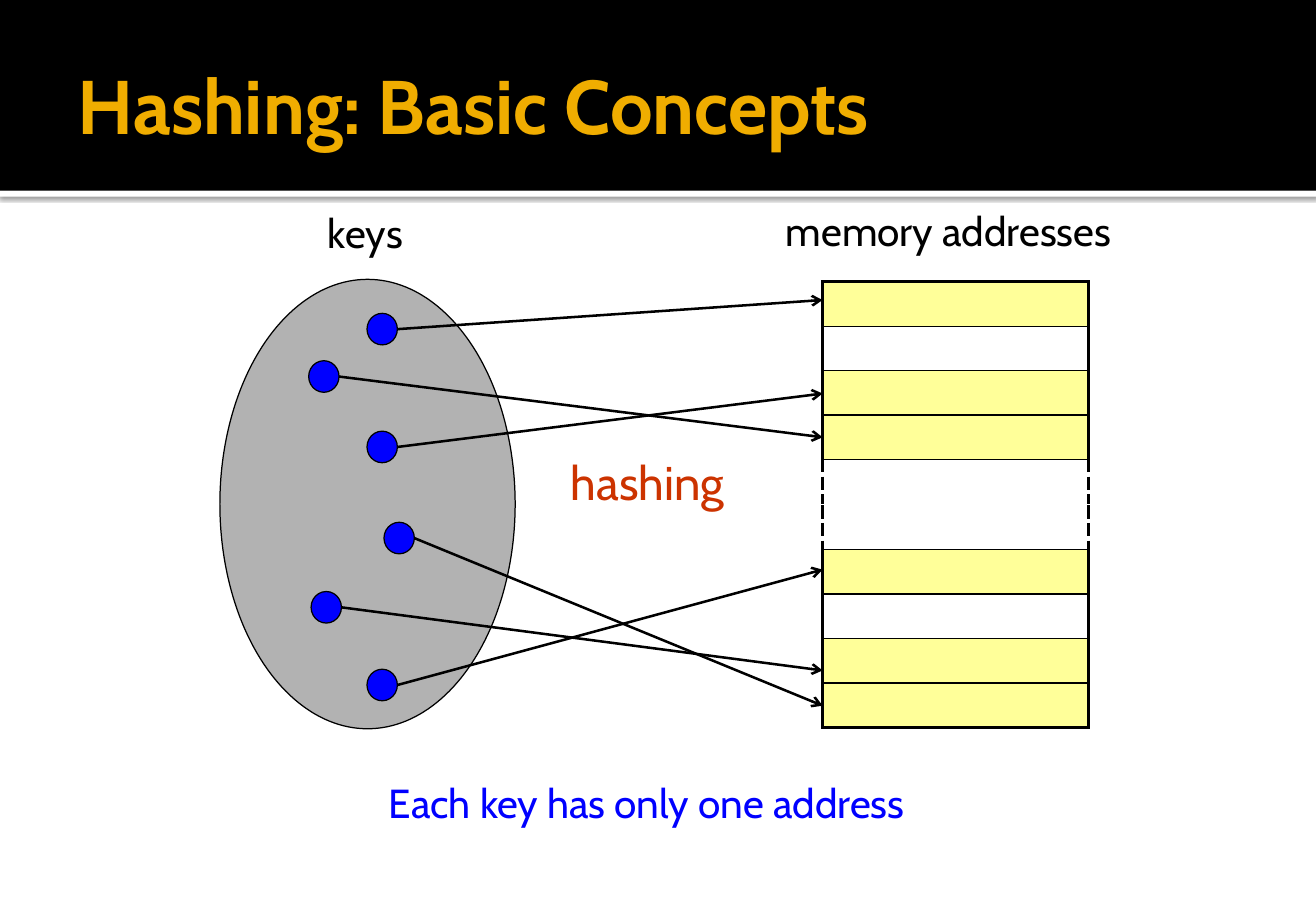
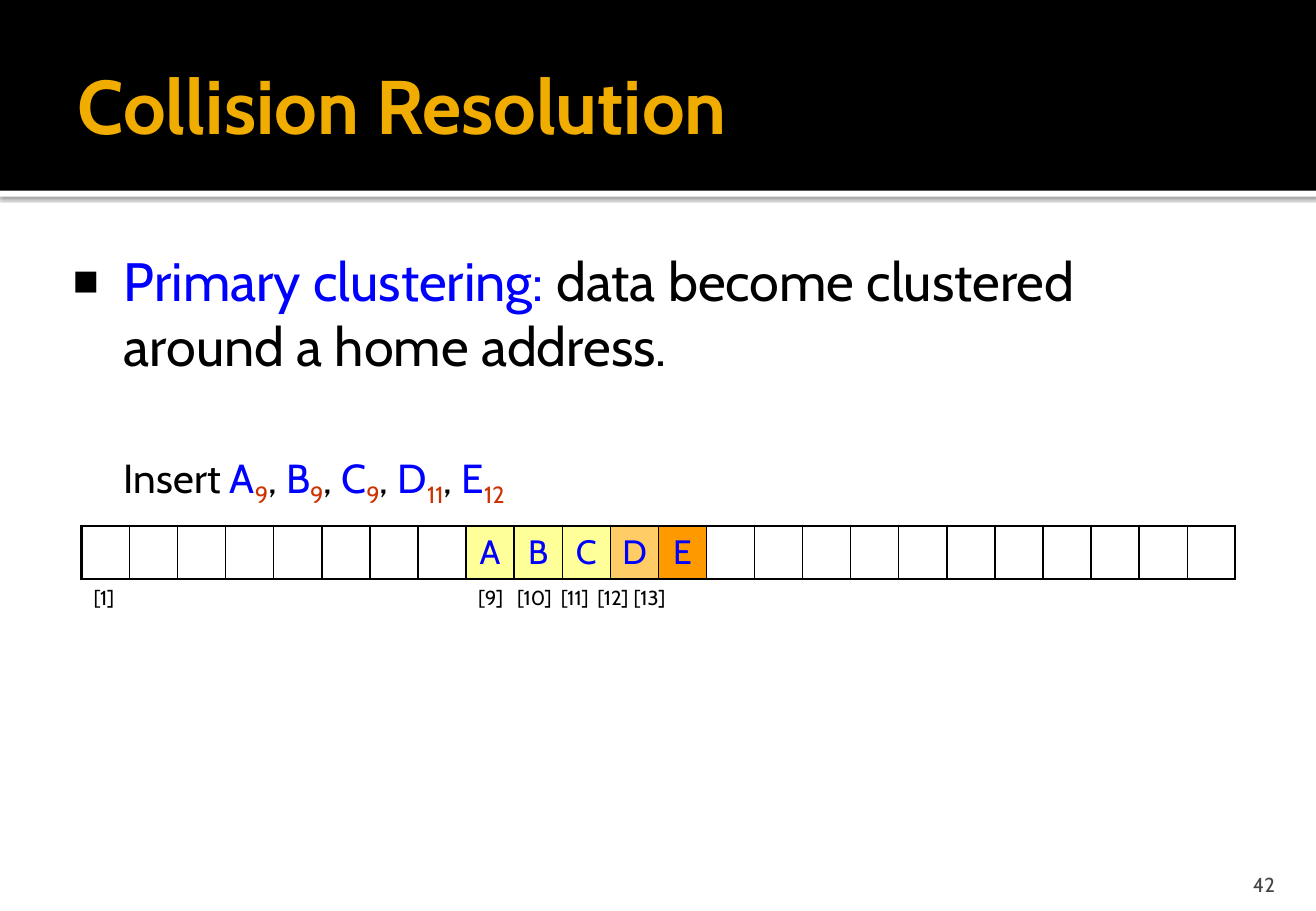
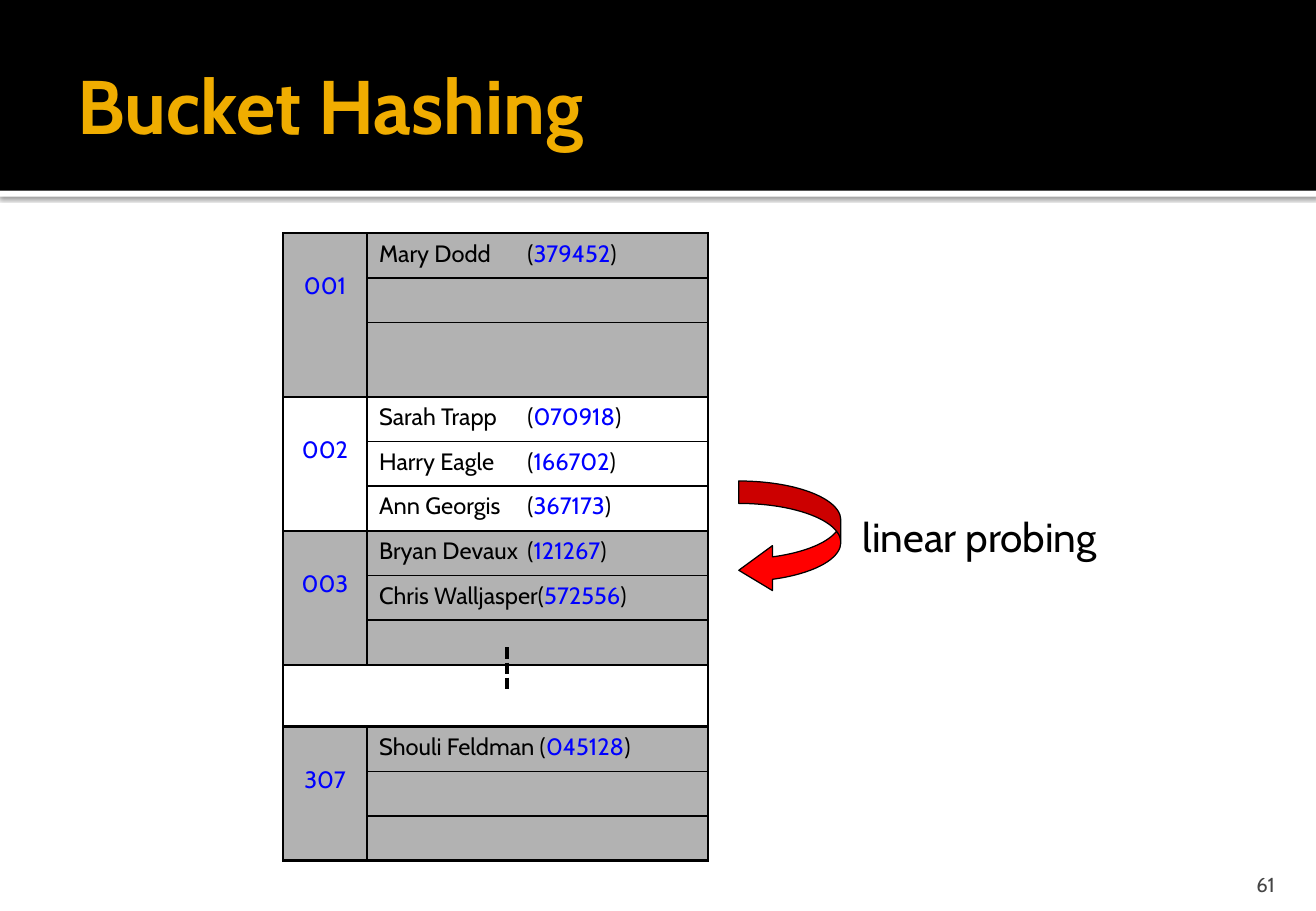
"""Build three slides on hashing: key mapping, clustering and buckets."""
from dataclasses import dataclass
from typing import Iterable, NamedTuple, Optional

from lxml import etree
from pptx import Presentation, util as u
from pptx.dml.color import RGBColor
from pptx.enum import dml, shapes, text
from pptx.oxml.ns import qn

FONT = "Cabin"
BLACK, WHITE, GOLD, GRAY = "000000", "FFFFFF", "F0AD00", "B2B2B2"
BLUE, RUST, RED, YELLOW = "0000FF", "CC3300", "FF0000", "FFFF99"
PAGE_GRAY = "454545"
PLAIN_TABLE = "{2D5ABB26-0587-4C30-8999-92F81FD0307C}"
SLIDE_COLS, SLIDE_ROWS = 108.3, 75


class Box(NamedTuple):
    col: float
    row: float
    cols: float
    rows: float


class Span(NamedTuple):
    text: str
    color: str = BLACK
    sub: bool = False


class Edges(NamedTuple):
    left: float = 0
    right: float = 0
    top: float = 0
    bottom: float = 0


class Mapping(NamedTuple):
    col: float
    row: float
    address_row: float


@dataclass
class Bucket:
    number: str
    first_row: int
    fill: Optional[str]
    records: list[tuple[str, str]]


def grid(cells: float) -> int:
    return u.Inches(cells / 10)


def place(box: Box) -> list[int]:
    return [grid(length) for length in box]


def rgb(color: str) -> RGBColor:
    return RGBColor.from_string(color)


def add_xml(parent, tag: str, **attributes: str):
    return etree.SubElement(parent, qn(tag), attributes)


def write(paragraph, spans: Iterable[Span], size: float, bold: bool = False) -> None:
    for span in spans:
        run = paragraph.add_run()
        run.text = span.text
        font = run.font
        font.name, font.size, font.bold = FONT, u.Pt(size), bold
        font.color.rgb = rgb(span.color)
        if span.sub:
            run._r.get_or_add_rPr().set("baseline", "-25000")


def set_margins(frame, left: float, top: float, right: float, bottom: float) -> None:
    frame.margin_left, frame.margin_top = grid(left), grid(top)
    frame.margin_right, frame.margin_bottom = grid(right), grid(bottom)


def add_label(slide, box: Box, span: Span, size: float):
    label = slide.shapes.add_textbox(*place(box))
    frame = label.text_frame
    frame.word_wrap = True
    write(frame.paragraphs[0], [span], size)
    return frame


def add_figure(slide, preset, box: Box, fill: str, outlined: bool = True):
    figure = slide.shapes.add_shape(preset, *place(box))
    figure.shadow.inherit = False
    figure.fill.solid()
    figure.fill.fore_color.rgb = rgb(fill)
    if outlined:
        figure.line.color.rgb = rgb(BLACK)
        figure.line.width = u.Pt(0.75)
    else:
        figure.line.fill.background()
    return figure


def add_line(slide, start: tuple, end: tuple, width: float):
    line = slide.shapes.add_connector(
        shapes.MSO_CONNECTOR.STRAIGHT, *map(grid, (*start, *end)))
    line.line.color.rgb = rgb(BLACK)
    line.line.width = u.Pt(width)
    add_xml(line._element.spPr, "a:effectLst")
    return line


def add_grid_table(slide, box: Box, widths: list[float], heights: list[float]):
    frame = slide.shapes.add_table(len(heights), len(widths), *place(box))
    table = frame.table
    table.first_row = table.horz_banding = False
    table._tbl.tblPr.find(qn("a:tableStyleId")).text = PLAIN_TABLE
    for column, width in zip(table.columns, widths):
        column.width = grid(width)
    for row, height in zip(table.rows, heights):
        row.height = grid(height)
    for cell in table.iter_cells():
        cell.margin_top = cell.margin_bottom = 0
    return table


def style_cell(cell, fill: Optional[str], edges: Edges, dashed: bool = False) -> None:
    properties = cell._tc.get_or_add_tcPr()
    for side, width in zip("LRTB", edges):
        if width:
            line = add_xml(properties, f"a:ln{side}", w=str(u.Pt(width)))
            add_xml(add_xml(line, "a:solidFill"), "a:srgbClr", val=BLACK)
            dash = "sysDash" if dashed and side in "LR" else "solid"
            add_xml(line, "a:prstDash", val=dash)
    if fill:
        cell.fill.solid()
        cell.fill.fore_color.rgb = rgb(fill)
    else:
        cell.fill.background()


def write_cell(cell, spans: Iterable[Span], size: float, top: float = 0.5,
               centered: bool = False, tabs: Iterable[float] = ()) -> None:
    cell.margin_top = grid(top)
    paragraph = cell.text_frame.paragraphs[0]
    if tabs:
        stops = add_xml(paragraph._p.get_or_add_pPr(), "a:tabLst")
        for tab in tabs:
            add_xml(stops, "a:tab", pos=str(grid(tab)), algn="l")
    if centered:
        paragraph.alignment = text.PP_ALIGN.CENTER
    write(paragraph, spans, size)


def add_master_bands(prs, slide) -> None:
    rectangle = shapes.MSO_SHAPE.RECTANGLE
    rule = add_figure(slide, rectangle, Box(0, 15.7, SLIDE_COLS, 0.5), WHITE, False)
    shadow = add_xml(rule._element.spPr.find(qn("a:effectLst")), "a:outerShdw",
                     blurRad=str(u.Pt(2.5)), dist=str(u.Pt(0.8)),
                     dir="5400000", algn="tl", rotWithShape="0")
    add_xml(add_xml(shadow, "a:srgbClr", val=BLACK), "a:alpha", val="60000")
    header = add_figure(slide, rectangle, Box(0, 0, SLIDE_COLS, 15.7), BLACK, False)
    tree = prs.slide_master.shapes.element
    for position, band in enumerate((rule, header)):
        band._element.nvSpPr.cNvPr.set("id", str(100 + position))
        tree.insert(2 + position, band._element)


def add_slide(prs, layout: int, heading: str, page: str = ""):
    slide = prs.slides.add_slide(prs.slide_layouts[layout])
    title = slide.shapes.title
    title.left, title.top, title.width, title.height = place(Box(5.4, 1.7, 97.5, 13.7))
    frame = title.text_frame
    frame.auto_size = text.MSO_AUTO_SIZE.NONE
    frame.vertical_anchor = text.MSO_ANCHOR.MIDDLE
    set_margins(frame, 1, 0.5, 0.5, 0.5)
    frame.paragraphs[0].alignment = text.PP_ALIGN.LEFT
    write(frame.paragraphs[0], [Span(heading, GOLD)], 45, True)
    if page:
        number = add_label(slide, Box(97.2, 70.8, 8.7, 3), Span(page, PAGE_GRAY), 12)
        set_margins(number, 1, 0.5, 1, 0)
        number.vertical_anchor = text.MSO_ANCHOR.BOTTOM
        number.paragraphs[0].alignment = text.PP_ALIGN.RIGHT
    return slide


def add_memory(slide, top: float, fills: list[Optional[str]], open_row: int) -> None:
    height, last = 3.66, len(fills) - 1
    memory = add_grid_table(slide, Box(67.7, top, 21.9, height * len(fills)),
                            [21.9], [height] * len(fills))
    for row, fill in enumerate(fills):
        outer_top, outer_bottom = (0, 1) if open_row == 0 else (2.25, 0)
        if open_row == 0 and row == last:
            outer_bottom = 2.25
        edges = Edges(2.25, 2.25, outer_top if row == 0 else 1,
                      outer_bottom if row == last else 1)
        style_cell(memory.cell(row, 0), fill, edges, row == open_row)


def build_concepts(prs) -> None:
    slide = add_slide(prs, 5, "Hashing: Basic Concepts")
    add_master_bands(prs, slide)
    oval = shapes.MSO_SHAPE.OVAL
    add_figure(slide, oval, Box(18.1, 23, 24.3, 37), GRAY)
    add_memory(slide, 23.2, [YELLOW, None, YELLOW, YELLOW, None], 4)
    add_memory(slide, 41.6, [None, YELLOW, None, YELLOW, YELLOW], 0)
    dot_cols, dot_rows, memory_col = 2.5, 2.6, 67.7
    for key in (Mapping(30.2, 25.8, 24.7), Mapping(25.4, 29.7, 36),
                Mapping(30.2, 35.5, 32.4), Mapping(31.6, 43, 58.1),
                Mapping(25.6, 48.7, 55.2), Mapping(30.2, 55.1, 46.9)):
        add_figure(slide, oval, Box(key.col, key.row, dot_cols, dot_rows), BLUE)
        arrow = add_line(slide, (key.col + dot_cols, key.row + dot_rows / 2),
                         (memory_col, key.address_row), 1.5)
        add_xml(arrow.line._get_or_add_ln(), "a:tailEnd", type="arrow")
    add_label(slide, Box(63.7, 16.5, 31.4, 5), Span("memory addresses"), 24)
    add_label(slide, Box(26, 16.6, 9.2, 5), Span("keys"), 24)
    add_label(slide, Box(46, 36.8, 19.4, 5.7), Span("hashing", RUST), 28)
    add_label(slide, Box(31, 63.6, 50.9, 5), Span("Each key has only one address", BLUE), 24)


def set_hanging(paragraph, indent: float, bullet: str = ""):
    properties = paragraph._p.get_or_add_pPr()
    properties.set("marL", str(grid(4.2)))
    properties.set("indent", str(grid(indent)))
    if bullet:
        add_xml(add_xml(properties, "a:buClr"), "a:srgbClr", val=BLACK)
        add_xml(properties, "a:buSzPct", val="80000")
        add_xml(properties, "a:buChar", char=bullet)
    else:
        add_xml(properties, "a:buNone")


def build_collision(prs) -> None:
    slide = add_slide(prs, 1, "Collision Resolution", "42")
    body = slide.placeholders[1]
    body.left, body.top, body.width, body.height = place(Box(5.4, 19.4, 97.5, 50.6))
    frame = body.text_frame
    frame.auto_size = text.MSO_AUTO_SIZE.NONE
    set_margins(frame, 0.6, 1, 1, 0.5)
    definition = frame.paragraphs[0]
    set_hanging(definition, -4.2, "■")
    definition.space_before = u.Pt(0)
    write(definition, [Span("Primary clustering:", BLUE),
                       Span(" data become clustered around a home address.")], 32)
    insertion = frame.add_paragraph()
    set_hanging(insertion, 0)
    insertion.space_before = u.Pt(45)
    spans = [Span("Insert ")]
    for position, (key, home) in enumerate(zip("ABCDE", ("9", "9", "9", "11", "12"))):
        if position:
            spans.append(Span(", "))
        spans += [Span(key, BLUE), Span(home, RUST, True)]
    write(insertion, spans, 24)

    count, first = 24, 8
    array = add_grid_table(slide, Box(6.7, 43.3, 95, 8.4), [95 / count] * count, [4.4, 4])
    filled = dict(enumerate(zip("ABCDE", (YELLOW, YELLOW, YELLOW, "FFCC66", "FF9900")), first))
    for col in range(count):
        key, fill = filled.get(col, ("", None))
        edges = Edges(1.5 if col == 0 else 1, 1.5 if col == count - 1 else 1, 1.5, 1.5)
        style_cell(array.cell(0, col), fill, edges)
        style_cell(array.cell(1, col), None, Edges(top=1.5))
        if key:
            write_cell(array.cell(0, col), [Span(key, BLUE)], 20, centered=True)
    array.cell(1, 0).merge(array.cell(1, 1))
    array.cell(1, first).merge(array.cell(1, first + 5))
    write_cell(array.cell(1, 0), [Span("[1]")], 12)
    write_cell(array.cell(1, first), [Span("[9]\t[10]\t[11]\t[12]\t[13]")], 12,
               tabs=(3.2, 6.8, 9.8, 12.8))


def build_buckets(prs) -> None:
    slide = add_slide(prs, 5, "Bucket Hashing", "61")
    heights = [3.68] * 13
    gap_row, size = 9, 3
    heights[2], heights[gap_row] = 6.1, 5.1
    table = add_grid_table(slide, Box(23.3, 19.2, 35, sum(heights)), [6.9, 28.1], heights)
    for bucket in (
            Bucket("001", 0, GRAY, [("Mary Dodd\t", "379452")]),
            Bucket("002", 3, None, [("Sarah Trapp\t", "070918"), ("Harry Eagle\t", "166702"),
                                    ("Ann Georgis\t", "367173")]),
            Bucket("003", 6, GRAY, [("Bryan Devaux\t", "121267"),
                                    ("Chris Walljasper", "572556")]),
            Bucket("307", 10, GRAY, [("Shouli Feldman ", "045128")])):
        last = size - 1
        for slot in range(size):
            row = bucket.first_row + slot
            style_cell(table.cell(row, 0), bucket.fill,
                       Edges(1.5, 1, 1.5 if slot == 0 else 0, 0 if slot == 1 else 1.5))
            style_cell(table.cell(row, 1), bucket.fill,
                       Edges(1, 1.5, 1.5 if slot == 0 else 1, 1.5 if slot == last else 1))
        home = table.cell(bucket.first_row, 0)
        home.merge(table.cell(bucket.first_row + last, 0))
        write_cell(home, [Span(bucket.number, BLUE)], 14, 3.2, True)
        for row, (name, number) in enumerate(bucket.records, bucket.first_row):
            write_cell(table.cell(row, 1), [Span(f"{name}("), Span(number, BLUE), Span(")")],
                       14, tabs=(12.2,))
    style_cell(table.cell(gap_row, 0), None, Edges(left=1.5, top=1.5, bottom=1.5))
    style_cell(table.cell(gap_row, 1), None, Edges(right=1.5, top=1.5, bottom=1.5))

    dots = add_line(slide, (41.7, 53.3), (41.7, 56.7), 2.25)
    dots.line.dash_style = dml.MSO_LINE.SQUARE_DOT
    probe = add_figure(slide, shapes.MSO_SHAPE.CURVED_LEFT_ARROW,
                       Box(60.8, 39.6, 8.4, 9.2), RED)
    for index, share in enumerate((0.22, 0.44, 0.33)):
        probe.adjustments[index] = share
    add_label(slide, Box(70, 41.7, 24.6, 5), Span("linear probing"), 24)


def main() -> None:
    prs = Presentation()
    prs.slide_width, prs.slide_height = grid(SLIDE_COLS), grid(SLIDE_ROWS)
    build_concepts(prs)
    build_collision(prs)
    build_buckets(prs)
    prs.save("out.pptx")


if __name__ == "__main__":
    main()
